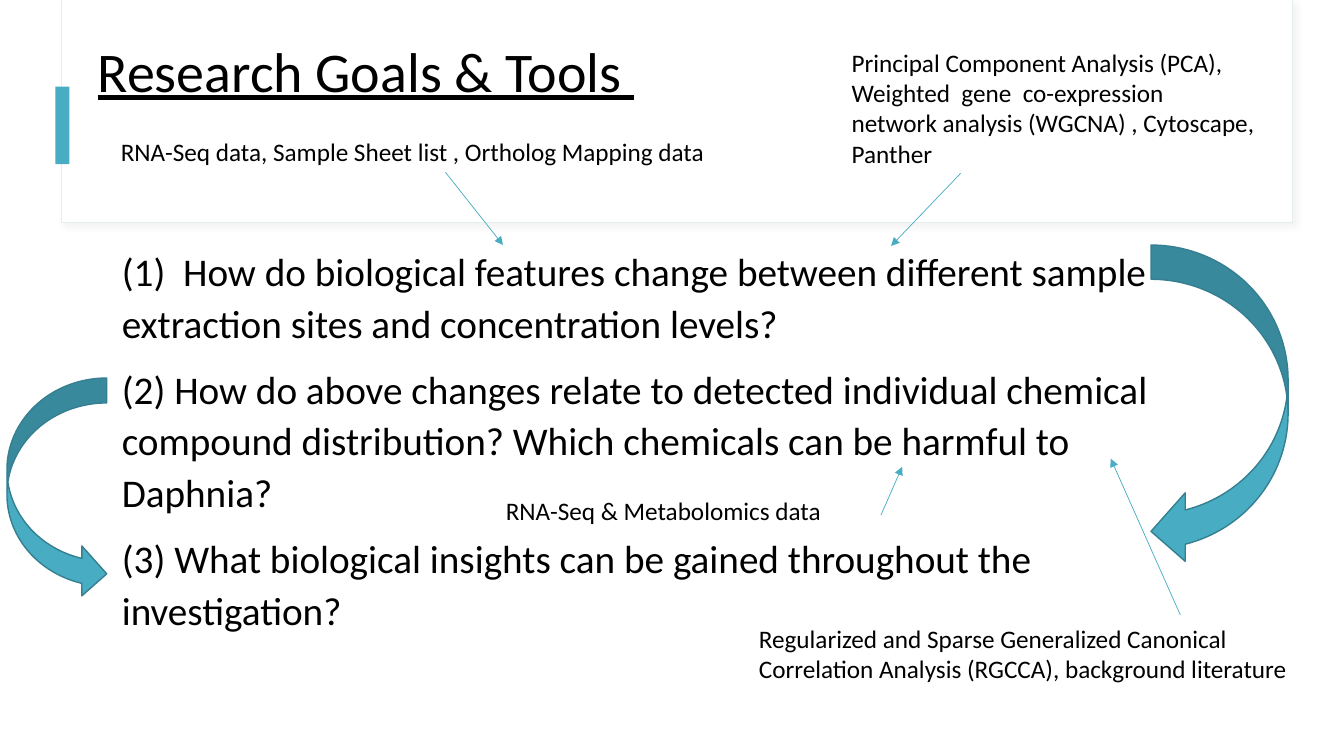
import dataclasses
import lxml.etree
import pptx
import pptx.dml.color
import pptx.enum.shapes
import pptx.enum.text
import pptx.oxml
import pptx.oxml.ns
import pptx.util

Pt = pptx.util.Pt
Rgb = pptx.dml.color.RGBColor.from_string
Kind = pptx.enum.shapes.MSO_SHAPE
Text = pptx.enum.text


@dataclasses.dataclass(frozen=True)
class Theme:
    font: str = "Calibri"
    ink: str = "000000"
    paper: str = "FFFFFF"
    teal: str = "48ACC3"
    edge: str = "357F90"
    frame: str = "E3EFEC"
    shade: str = "D9D9D9"
    title: int = 40
    body: int = 28
    note: int = 18


THEME = Theme()
GOALS = (
    "(1)  How do biological features change between different sample "
    "extraction sites and concentration levels?",
    "(2) How do above changes relate to detected individual chemical "
    "compound distribution? Which chemicals can be harmful to Daphnia?",
    "(3) What biological insights can be gained throughout the investigation?",
)
NOTES = (
    ((601.2, 30.2, 303.8, 94.3), (85, 93.6), (-49.7, 51.9),
     "Principal Component Analysis (PCA), Weighted  gene  co-expression  "
     "network analysis (WGCNA) , Cytoscape, Panther"),
    ((535, 441.4, 398.2, 72.7), (308.1, -2.2), (-49.7, -111.6),
     "Regularized and Sparse Generalized Canonical Correlation Analysis "
     "(RGCCA), background literature"),
    ((79.2, 93.6, 468.7, 51.1), (239, 29.5), (41.1, 51.9),
     "RNA-Seq data, Sample Sheet list , Ortholog Mapping data"),
    ((354.2, 350.6, 303.8, 28.8), (275.1, 17.3), (15.1, -34.5),
     "RNA-Seq & Metabolomics data"),
)


def apply(item, values):
    for name, value in values.items():
        setattr(item, name, value)


def write(frame, lines, size, line={}, **font):
    apply(frame, {"word_wrap": True, "auto_size": Text.MSO_AUTO_SIZE.NONE})
    frame.text = "\n".join(lines)
    for para in frame.paragraphs:
        apply(para, {"alignment": Text.PP_ALIGN.LEFT, **line})
        for run in para.runs:
            apply(run.font, {"name": THEME.font, "size": Pt(size), **font})
            run.font.color.rgb = Rgb(THEME.ink)


def shape(slide, kind, box, fill, edge=None, width=1):
    item = slide.shapes.add_shape(kind, *map(Pt, box))
    item.shadow.inherit = False
    item.fill.solid()
    item.fill.fore_color.rgb = Rgb(fill)
    if edge:
        item.line.color.rgb = Rgb(edge)
        item.line.width = Pt(width)
    else:
        item.line.fill.background()
    return item


def header(slide, box):
    x, y, w, h = box
    card = shape(slide, Kind.RECTANGLE, box, THEME.paper, THEME.frame, 0.75)
    effects = card._element.spPr.find(pptx.oxml.ns.qn("a:effectLst"))
    effects.append(pptx.oxml.parse_xml(
        f'<a:outerShdw {pptx.oxml.ns.nsdecls("a")} blurRad="{Pt(4)}" '
        f'dist="{Pt(3)}" dir="2700000" algn="tl" rotWithShape="0">'
        f'<a:srgbClr val="{THEME.shade}"><a:alpha val="30000"/></a:srgbClr>'
        '</a:outerShdw>'))
    inner = (x + 0.7, y, w - 0.7, h - 0.7)
    shape(slide, Kind.RECTANGLE, inner, THEME.paper)
    shape(slide, Kind.RECTANGLE, (x - 4.3, y + 61.9, 10.1, 55.4), THEME.teal)
    title = slide.shapes.title
    slide.shapes._spTree.append(title._element)
    apply(title, {"left": Pt(x + 18.7), "top": Pt(y + 6.5),
                  "width": Pt(800.6), "height": Pt(92.9)})
    title.text_frame.vertical_anchor = Text.MSO_ANCHOR.MIDDLE
    write(title.text_frame, ["Research Goals & Tools "], THEME.title,
          {"line_spacing": 0.9}, underline=True)


def goals(slide, box):
    x, y, w, h = box
    frame = slide.shapes.add_textbox(*map(Pt, box)).text_frame
    write(frame, GOALS, THEME.body, {"line_spacing": 1.1})
    for para in frame.paragraphs[1:]:
        para.space_before = Pt(10)
    curves = (
        ((x + 742.3, y + 5.1, 97.9, 229), False),
        ((x - 74.9, y + 100.1, 71.3, 157.7), True),
    )
    for place, flip in curves:
        curve = shape(slide, Kind.CURVED_LEFT_ARROW, place, THEME.teal,
                      THEME.edge)
        if flip:
            curve._element.spPr.find(pptx.oxml.ns.qn("a:xfrm")).set("flipH", "1")


def note(slide, box, start, reach, text):
    frame = slide.shapes.add_textbox(*map(Pt, box)).text_frame
    write(frame, [text], THEME.note)
    x, y = box[0] + start[0], box[1] + start[1]
    ends = (x, y, x + reach[0], y + reach[1])
    arrow = slide.shapes.add_connector(
        pptx.enum.shapes.MSO_CONNECTOR.STRAIGHT, *map(Pt, ends))
    arrow.line.color.rgb = Rgb(THEME.teal)
    arrow.line.width = Pt(0.5)
    qn = pptx.oxml.ns.qn
    props = arrow._element.spPr
    lxml.etree.SubElement(props.find(qn("a:ln")), qn("a:tailEnd"),
                          type="triangle")
    lxml.etree.SubElement(props, qn("a:effectLst"))


def main():
    deck = pptx.Presentation()
    apply(deck, {"slide_width": Pt(960), "slide_height": Pt(540)})
    slide = deck.slides.add_slide(deck.slide_layouts.get_by_name("Title Only"))
    slide.background.fill.solid()
    slide.background.fill.fore_color.rgb = Rgb(THEME.paper)
    header(slide, (43.9, 0, 879.1, 159.1))
    goals(slide, (79.9, 169.9, 800.6, 326.9))
    for item in NOTES:
        note(slide, *item)
    deck.save("out.pptx")


if __name__ == "__main__":
    main()
